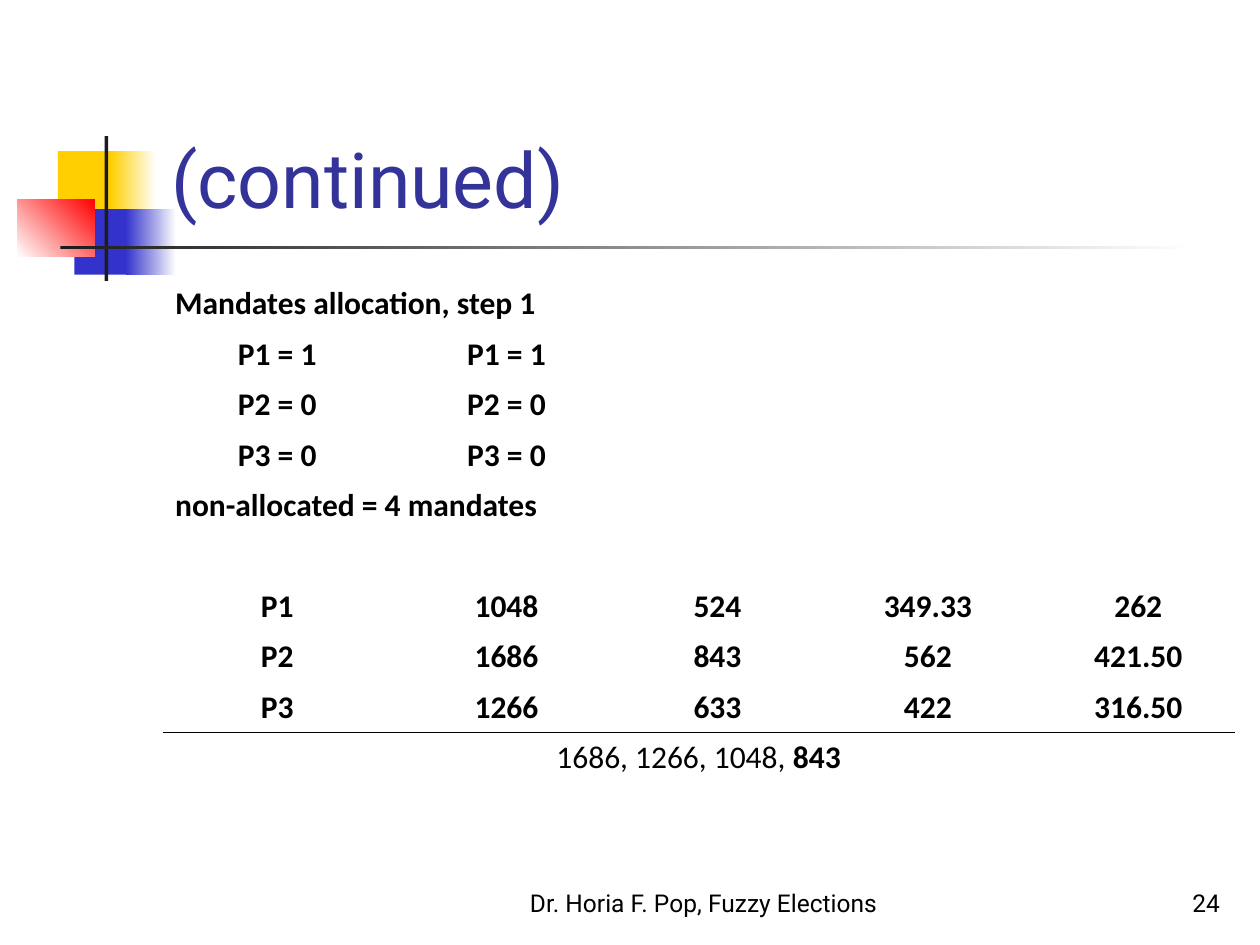
from lxml import etree
from pptx import Presentation
from pptx.dml.color import RGBColor
from pptx.enum.shapes import MSO_SHAPE
from pptx.enum.text import MSO_ANCHOR as ANCHOR, PP_ALIGN as ALIGN
from pptx.oxml import parse_xml
from pptx.oxml.ns import nsdecls, qn
from pptx.util import Inches, Pt

COLORS = {
    "yellow": "FFCF01", "blue": "3333CC", "red": "FF0000", "white": "FFFFFF",
    "dark": "1C1C1C", "title": "333399", "text": "000000",
}
NO_TABLE_STYLE = "{2D5ABB26-0587-4C30-8999-92F81FD0307C}"


def rgb(name):
    return RGBColor.from_string(COLORS[name])


def write(frame, text, size=18, font="Calibri", color="text", bold=False,
          align=ALIGN.LEFT, hanging=0, bold_tail=""):
    """Fill the first paragraph of a frame; bold_tail follows text in bold."""
    frame.word_wrap = True
    para = frame.paragraphs[0]
    para.alignment = align
    if hanging:
        props = para._p.get_or_add_pPr()
        props.set("marL", str(Inches(hanging)))
        props.set("indent", str(-Inches(hanging)))
    for words, is_bold in ((text, bold), (bold_tail, True)):
        if words:
            span = para.add_run()
            span.text = words
            span.font.size = Pt(size)
            span.font.name = font
            span.font.bold = is_bold
            span.font.color.rgb = rgb(color)


deck = Presentation()
deck.slide_width, deck.slide_height = Inches(10), Inches(7.5)
page = deck.slides.add_slide(deck.slide_layouts[6])

# Decoration: left, top, width, height, colours, gradient angle
decoration = [
    (0.46, 1.2, 0.48, 0.52, ["yellow"], 0),
    (0.88, 1.2, 0.36, 0.52, ["yellow", "white"], 0),
    (0.59, 1.66, 0.46, 0.52, ["blue"], 0),
    (1, 1.66, 0.4, 0.52, ["blue", "white"], 0),
    (0.14, 1.58, 0.61, 0.46, ["white", "red"], 45),
    (0.83, 1.08, 0.03, 1.15, ["dark"], 0),
    (0.48, 1.95, 9, 0.03, ["dark", "white"], 0),
]
for *place, colors, angle in decoration:
    block = page.shapes.add_shape(MSO_SHAPE.RECTANGLE, *map(Inches, place))
    block.shadow.inherit = False
    block.line.fill.background()
    if len(colors) == 1:
        block.fill.solid()
        block.fill.fore_color.rgb = rgb(colors[0])
    else:
        block.fill.gradient()
        block.fill.gradient_angle = angle
        for stop, color in zip(block.fill.gradient_stops, colors):
            stop.color.rgb = rgb(color)

# Footer, page number and title
labels = [
    ((4, 6.83, 3.17, 0.5), "Dr. Horia F. Pop, Fuzzy Elections", 14, "text", ALIGN.CENTER),
    ((7.7, 6.83, 2.08, 0.5), "24", 14, "text", ALIGN.RIGHT),
    ((1.26, 0.23, 8.52, 1.6), "(continued)", 44, "title", ALIGN.LEFT),
]
for place, text, size, color, align in labels:
    box = page.shapes.add_textbox(*map(Inches, place))
    box.text_frame.vertical_anchor = ANCHOR.BOTTOM
    write(box.text_frame, text, size=size, font="Roboto", color=color, align=align)

# Allocation table
rows = [
    ["Mandates allocation, step 1"],
    ["P1 = 1", "P1 = 1"],
    ["P2 = 0", "P2 = 0"],
    ["P3 = 0", "P3 = 0"],
    ["non-allocated = 4 mandates"],
    [],
    ["P1", "1048", "524", "349.33", "262"],
    ["P2", "1686", "843", "562", "421.50"],
    ["P3", "1266", "633", "422", "316.50"],
    ["1686, 1266, 1048, "],
]
widths = [1.82, 1.82, 1.53, 1.81, 1.53]
merged_columns = {0: 2, 4: 3, 9: 5}
last_row = len(rows) - 1

graphic = page.shapes.add_table(len(rows), len(widths), Inches(1.29), Inches(2.21),
                                Inches(8.5), Inches(4))
table = graphic.table
table.first_row = table.horz_banding = False
table._tbl.tblPr.find(qn("a:tableStyleId")).text = NO_TABLE_STYLE
for column, width in zip(table.columns, widths):
    column.width = Inches(width)
for row, count in merged_columns.items():
    table.cell(row, 0).merge(table.cell(row, count - 1))

for row, values in enumerate(rows):
    table.rows[row].height = Inches(0.4)
    for col in range(len(widths)):
        cell = table.cell(row, col)
        cell.fill.background()
        cell.vertical_anchor = ANCHOR.BOTTOM
        if col < len(values):
            write(cell.text_frame, values[col], bold=row != last_row, hanging=0.38,
                  align=ALIGN.LEFT if row in (0, 4) else ALIGN.CENTER,
                  bold_tail="843" if row == last_row else "")

# Rule between the quotients and the result
for row, side in ((last_row - 1, "lnB"), (last_row, "lnT")):
    for cell in table.rows[row].cells:
        border = parse_xml(
            f'<a:{side} {nsdecls("a")} w="{Pt(0.45)}"><a:solidFill>'
            f'<a:srgbClr val="{COLORS["text"]}"/></a:solidFill></a:{side}>')
        cell._tc.get_or_add_tcPr().insert(0, border)

deck.save("out.pptx")
